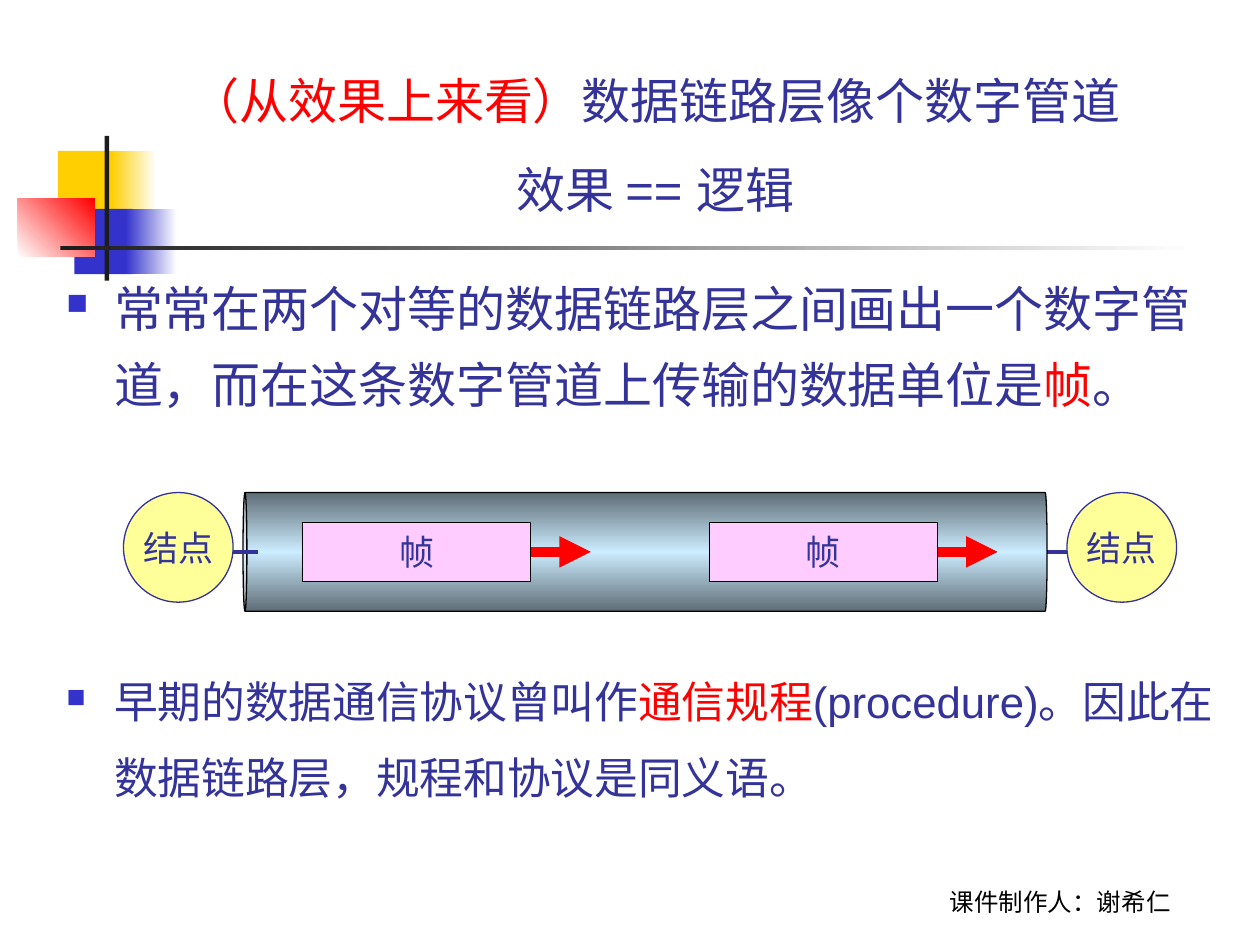
import pptx
import pptx.util
import pptx.dml.color
import pptx.enum.shapes
import pptx.enum.text
import pptx.oxml
import pptx.oxml.ns
from lxml import etree

Cm, Pt = pptx.util.Cm, pptx.util.Pt
SHAPE = pptx.enum.shapes.MSO_SHAPE
ALIGN = pptx.enum.text.PP_ALIGN
ANCHOR = pptx.enum.text.MSO_ANCHOR
qn = pptx.oxml.ns.qn

COLORS = {
    "white": "FFFFFF", "black": "000000", "charcoal": "1C1C1C",
    "yellow": "FFCF01", "blue": "3333CC", "red": "FF0000",
    "navy": "333399", "node": "FFFF99", "frame": "FFCCFF",
    "pipe_edge": "5E6D76", "pipe_middle": "CCECFF",
}


def rgb(name):
    return pptx.dml.color.RGBColor.from_string(COLORS[name])


def fill_gradient(shape, names, angle):
    """Spread the named colours evenly; the angle runs counter-clockwise."""
    shape.fill.gradient()
    shape.fill.gradient_angle = angle
    stops = shape._element.spPr.find(".//" + qn("a:gsLst"))
    for stop in list(stops):
        stops.remove(stop)
    for index, name in enumerate(names):
        position = 100000 * index // (len(names) - 1)
        stop = etree.SubElement(stops, qn("a:gs"), pos=str(position))
        etree.SubElement(stop, qn("a:srgbClr"), val=COLORS[name])


def add_shape(slide, kind, left, top, width, height, colors, angle=0, line=None):
    shape = slide.shapes.add_shape(kind, Cm(left), Cm(top), Cm(width), Cm(height))
    shape.shadow.inherit = False
    if len(colors) == 1:
        shape.fill.solid()
        shape.fill.fore_color.rgb = rgb(colors[0])
    else:
        fill_gradient(shape, colors, angle)
    if line:
        shape.line.color.rgb = rgb(line)
        shape.line.width = Pt(0.75)
    else:
        shape.line.fill.background()
    return shape


def add_label(shape, text):
    frame = shape.text_frame
    frame.word_wrap = False
    frame.vertical_anchor = ANCHOR.MIDDLE
    paragraph = frame.paragraphs[0]
    paragraph.alignment = ALIGN.CENTER
    paragraph.text = text
    set_font(paragraph, "Lato", 20, "navy")


def add_line(slide, start, end, y, color, width):
    line = slide.shapes.add_connector(
        pptx.enum.shapes.MSO_CONNECTOR.STRAIGHT, Cm(start), Cm(y), Cm(end), Cm(y))
    line.line.color.rgb = rgb(color)
    line.line.width = Pt(width)
    etree.SubElement(line._element.spPr, qn("a:effectLst"))
    return line


def add_text_frame(slide, left, top, width, height, anchor):
    box = slide.shapes.add_textbox(Cm(left), Cm(top), Cm(width), Cm(height))
    box.text_frame.word_wrap = True
    box.text_frame.vertical_anchor = anchor
    return box.text_frame


def set_font(paragraph, name, size, color=None):
    paragraph.font.name = name
    paragraph.font.size = Pt(size)
    if color:
        paragraph.font.color.rgb = rgb(color)


def add_runs(paragraph, runs):
    for text, color in runs:
        run = paragraph.add_run()
        run.text = text
        run.font.color.rgb = rgb(color)


def add_bullet(paragraph, indent):
    properties = paragraph._p.get_or_add_pPr()
    properties.set("marL", str(Cm(indent)))
    properties.set("indent", str(-Cm(indent)))
    color = etree.SubElement(properties, qn("a:buClr"))
    etree.SubElement(color, qn("a:srgbClr"), val=COLORS["blue"])
    etree.SubElement(properties, qn("a:buSzPct"), val="60000")
    etree.SubElement(properties, qn("a:buChar"), char="■")


def add_decoration(slide, left, top):
    blocks = [
        (0.81, 0.30, 1.22, 1.32, ["yellow"], 0),
        (1.88, 0.30, 0.91, 1.32, ["yellow", "white"], 0),
        (1.14, 1.47, 1.17, 1.32, ["blue"], 0),
        (2.18, 1.47, 1.02, 1.32, ["blue", "white"], 0),
        (0, 1.27, 1.55, 1.17, ["white", "red"], 45),
        (1.75, 0, 0.09, 2.92, ["charcoal"], 0),
        (0.86, 2.21, 22.86, 0.09, ["charcoal", "white"], 0),
    ]
    for x, y, width, height, colors, angle in blocks:
        add_shape(slide, SHAPE.RECTANGLE, left + x, top + y, width, height, colors, angle)


def add_title(slide, left, top, width, height):
    frame = add_text_frame(slide, left, top, width, height, ANCHOR.BOTTOM)
    paragraph = frame.paragraphs[0]
    paragraph.alignment = ALIGN.CENTER
    paragraph.line_spacing = 1.5
    set_font(paragraph, "Arial", 28)
    add_runs(paragraph, [("（从效果上来看）", "red"), ("数据链路层像个数字管道", "navy")])
    paragraph.add_line_break()
    add_runs(paragraph, [("效果 == 逻辑", "navy")])


def add_body(slide, left, top, width, height):
    frame = add_text_frame(slide, left, top, width, height, ANCHOR.TOP)
    items = [
        (28, 1.3, 0, [
            ("常常在两个对等的数据链路层之间画出一个数字管道，而在这条数字管道上传输的数据单位是", "navy"),
            ("帧", "red"), ("。", "navy")]),
        (25, 1.45, 136, [
            ("早期的数据通信协议曾叫作", "navy"), ("通信规程", "red"),
            ("(procedure)。因此在数据链路层，规程和协议是同义语。", "navy")]),
    ]
    for index, (size, spacing, before, runs) in enumerate(items):
        paragraph = frame.add_paragraph() if index else frame.paragraphs[0]
        add_bullet(paragraph, 0.96)
        paragraph.line_spacing = spacing
        if before:
            paragraph.space_before = Pt(before)
        set_font(paragraph, "Arial", size)
        add_runs(paragraph, runs)


def add_pipe(slide, left, top, width):
    """Draw two nodes joined by a pipe that carries frames."""
    node, pipe_length, pipe_height = 2.21, 16.21, 2.39
    frame_width, frame_height, arrow = 4.6, 1.19, 1.21
    axis = top + pipe_height / 2
    node_right = left + node
    far_node = left + width - node

    for x in (left, far_node):
        circle = add_shape(slide, SHAPE.OVAL, x, top, node, node, ["node"], line="navy")
        add_label(circle, "结点")
    add_line(slide, node_right, far_node, axis, "navy", 2.25)

    pipe_center = left + 2.41 + pipe_length / 2
    pipe = add_shape(slide, SHAPE.CAN, pipe_center - pipe_height / 2, axis - pipe_length / 2,
                     pipe_height, pipe_length, ["pipe_edge", "pipe_middle", "pipe_edge"],
                     line="black")
    pipe.adjustments[0] = 0.033
    pipe.rotation = 270
    add_line(slide, node_right, node_right + 0.51, axis, "navy", 2.25)

    for x in (left + 3.61, left + 11.81):
        frame = add_shape(slide, SHAPE.RECTANGLE, x, axis - frame_height / 2,
                          frame_width, frame_height, ["frame"], line="black")
        add_label(frame, "帧")
        start = x + frame_width
        line = add_line(slide, start, start + arrow, axis, "red", 6)
        line.begin_connect(frame, 3)
        etree.SubElement(line.line._get_or_add_ln(), qn("a:tailEnd"), type="triangle")


def add_footer(slide, left, top, width, height):
    frame = add_text_frame(slide, left, top, width, height, ANCHOR.BOTTOM)
    paragraph = frame.paragraphs[0]
    paragraph.alignment = ALIGN.CENTER
    paragraph.text = "课件制作人：谢希仁"
    set_font(paragraph, "Lato", 14, "black")


def main():
    presentation = pptx.Presentation()
    presentation.slide_width, presentation.slide_height = Cm(25.4), Cm(19.05)
    slide = presentation.slides.add_slide(presentation.slide_layouts[6])
    add_decoration(slide, 0.36, 2.74)
    add_footer(slide, 17.35, 17.32, 8.05, 1.27)
    add_title(slide, 2.11, 0.33, 22.2, 4.19)
    add_body(slide, 1.09, 5.13, 23.77, 13.44)
    add_pipe(slide, 2.49, 9.93, 21.23)
    presentation.save("out.pptx")


if __name__ == "__main__":
    main()
